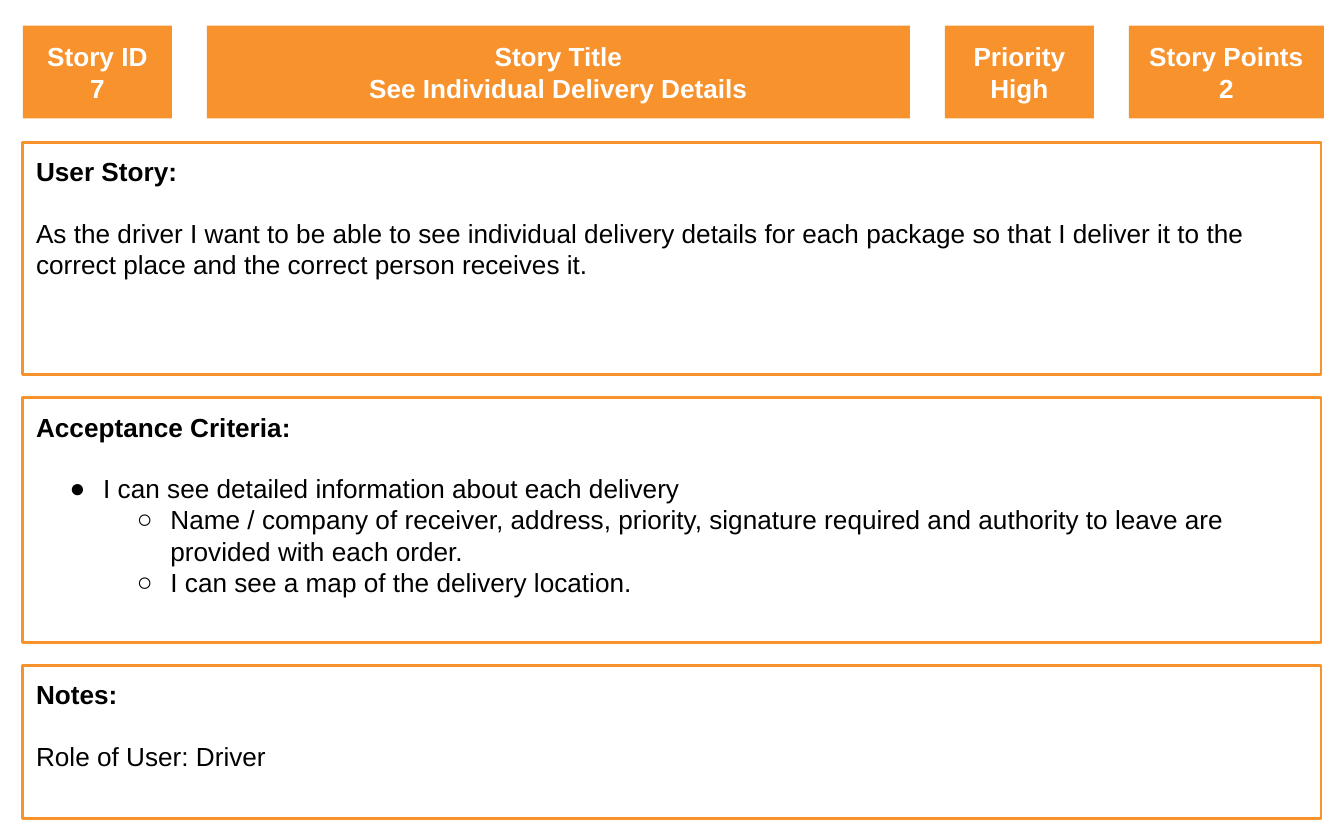
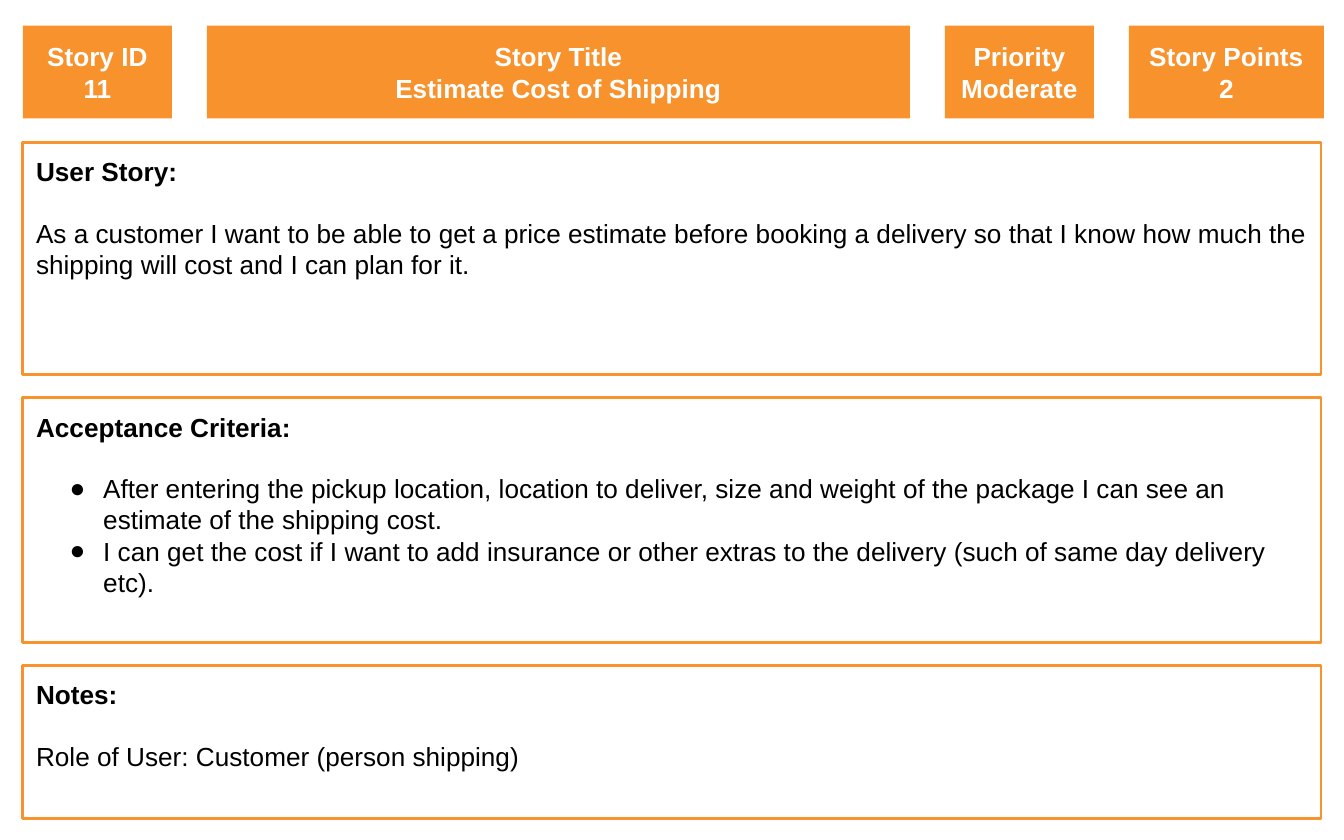
"""Build two user story cards, one per slide."""
from lxml.etree import SubElement
from pptx import Presentation
from pptx.dml.color import RGBColor
from pptx.enum.shapes import MSO_SHAPE as Shape
from pptx.enum.text import MSO_ANCHOR as Anchor, PP_ALIGN as Align
from pptx.oxml.ns import qn
from pptx.util import Inches, Pt

ORANGE = RGBColor(0xF7, 0x92, 0x2D)
WHITE = RGBColor(0xFF, 0xFF, 0xFF)
BLACK = RGBColor(0x00, 0x00, 0x00)
FONT, SIZE = "Arial", Pt(14)
HEADING_GAP = Pt(16)

WIDTH, HEIGHT = 10, 6.25
MARGIN = 0.17
BAND_TOP, BAND_HEIGHT, BAND_GAP = 0.19, 0.69, 0.26
BAND_WIDTHS = {"Story ID": 1.11, "Story Title": 5.23, "Priority": 1.11, "Story Points": 1.45}
PANEL_TOP, PANEL_GAP = 1.06, 0.17
PANEL_HEIGHTS = {"User Story:": 1.73, "Acceptance Criteria:": 1.82, "Notes:": 1.14}
BULLETS = "●○"
INDENT, HANGING = 0.5, 0.25

STORIES = [
    {
        "Story ID": "7",
        "Story Title": "See Individual Delivery Details",
        "Priority": "High",
        "Story Points": "2",
        "User Story:": "As the driver I want to be able to see individual delivery details for each "
                       "package so that I deliver it to the correct place and the correct person "
                       "receives it.",
        "Acceptance Criteria:": [
            (0, "I can see detailed information about each delivery"),
            (1, "Name / company of receiver, address, priority, signature required and authority "
                "to leave are provided with each order."),
            (1, "I can see a map of the delivery location."),
        ],
        "Notes:": "Role of User: Driver",
    },
    {
        "Story ID": "11",
        "Story Title": "Estimate Cost of Shipping",
        "Priority": "Moderate",
        "Story Points": "2",
        "User Story:": "As a customer I want to be able to get a price estimate before booking a "
                       "delivery so that I know how much the shipping will cost and I can plan "
                       "for it.",
        "Acceptance Criteria:": [
            (0, "After entering the pickup location, location to deliver, size and weight of the "
                "package I can see an estimate of the shipping cost."),
            (0, "I can get the cost if I want to add insurance or other extras to the delivery "
                "(such of same day delivery etc)."),
        ],
        "Notes:": "Role of User: Customer (person shipping)",
    },
]


def add_box(page, left, top, width, height, fill, lines, color, anchor, align):
    box = page.shapes.add_shape(Shape.RECTANGLE, *map(Inches, (left, top, width, height)))
    box.shadow.inherit = False
    box.fill.solid()
    box.fill.fore_color.rgb = fill
    box.line.fill.background()
    frame = box.text_frame
    frame.margin_left = frame.margin_right = frame.margin_top = frame.margin_bottom = Inches(0.1)
    frame.word_wrap = True
    frame.vertical_anchor = anchor
    frame.text = "\n".join(lines)
    for para in frame.paragraphs:
        para.alignment = align
        for span in para.runs:
            span.font.name, span.font.size, span.font.bold = FONT, SIZE, True
            span.font.color.rgb = color
    return box


def add_bullet(para, level):
    para.level = level
    properties = para._p.get_or_add_pPr()
    properties.set("marL", str(Inches(INDENT * (level + 1))))
    properties.set("indent", str(-Inches(HANGING)))
    color = SubElement(properties, qn("a:buClr"))
    SubElement(color, qn("a:srgbClr"), val=str(BLACK))
    SubElement(properties, qn("a:buFont"), typeface=FONT)
    SubElement(properties, qn("a:buChar"), char=BULLETS[level])


def add_bands(page, story):
    left = MARGIN
    for label, width in BAND_WIDTHS.items():
        add_box(page, left, BAND_TOP, width, BAND_HEIGHT, ORANGE, [label, story[label]],
                WHITE, Anchor.MIDDLE, Align.CENTER)
        left += width + BAND_GAP


def add_panels(page, story):
    top = PANEL_TOP
    for heading, height in PANEL_HEIGHTS.items():
        content = story[heading]
        items = [(None, content)] if isinstance(content, str) else content
        box = add_box(page, MARGIN, top, WIDTH - 2 * MARGIN, height, WHITE,
                      [heading] + [text for _, text in items], BLACK, Anchor.TOP, Align.LEFT)
        box.line.color.rgb = ORANGE
        box.line.width = Pt(1.5)
        title, *body = box.text_frame.paragraphs
        title.space_after = HEADING_GAP
        for para, (level, _) in zip(body, items):
            para.runs[0].font.bold = False
            if level is not None:
                add_bullet(para, level)
        top += height + PANEL_GAP


def main():
    deck = Presentation()
    deck.slide_width, deck.slide_height = Inches(WIDTH), Inches(HEIGHT)
    for story in STORIES:
        page = deck.slides.add_slide(deck.slide_layouts[6])
        add_bands(page, story)
        add_panels(page, story)
    deck.save("out.pptx")


if __name__ == "__main__":
    main()
